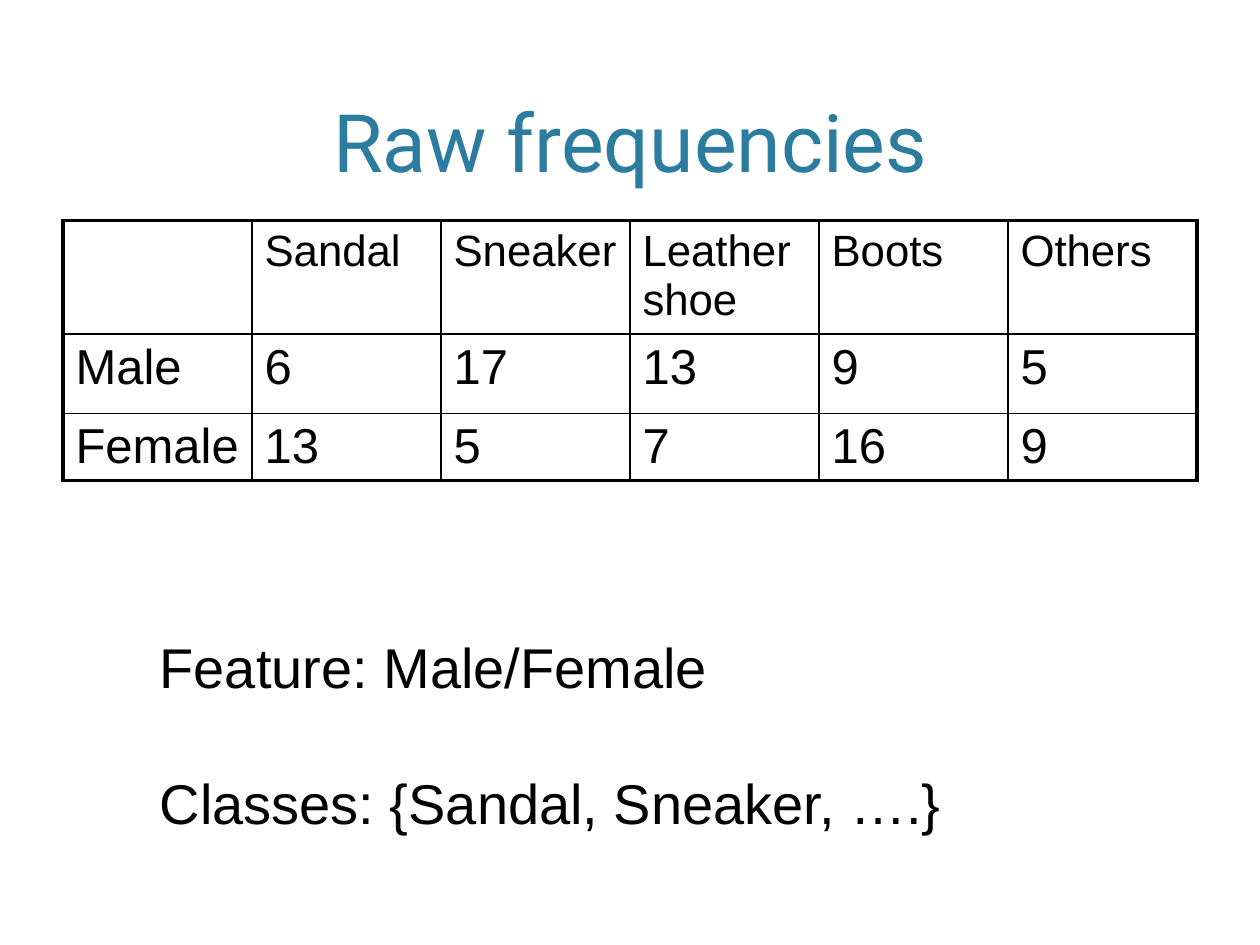
from pptx import Presentation
from pptx import util as u
from pptx.dml.color import RGBColor
from pptx.enum import text
from pptx.oxml import ns
from lxml import etree

BLACK = RGBColor(0x00, 0x00, 0x00)
TEAL = RGBColor(0x2C, 0x7C, 0x9F)
THIN, THICK = 1, 2.25
FREQUENCIES = [
    ["", "Sandal", "Sneaker", "Leather shoe", "Boots", "Others"],
    ["Male", "6", "17", "13", "9", "5"],
    ["Female", "13", "5", "7", "16", "9"],
]
ROW_HEIGHTS = [64.8, 45.4, 38.4]
ROW_SIZES = [25, 28, 28]
COLUMN_WIDTH = 108
NOTES = ["Feature: Male/Female", "Classes: {Sandal, Sneaker, \u2026.}"]


def apply(target, values):
    """Set each named attribute of the target."""
    for name, value in values.items():
        setattr(target, name, value)


def style_font(paragraph, size, color=BLACK, face="Arial"):
    """Give a paragraph its font, size and colour."""
    apply(paragraph.font, {"name": face, "size": u.Pt(size), "bold": False})
    paragraph.font.color.rgb = color


def add_title(slide, wording):
    """Place and format the title placeholder."""
    title = slide.shapes.title
    apply(title, {"left": u.Pt(36), "top": u.Pt(21.6),
                  "width": u.Pt(648), "height": u.Pt(90)})
    frame = title.text_frame
    apply(frame, {"text": wording, "word_wrap": True,
                  "vertical_anchor": text.MSO_ANCHOR.BOTTOM,
                  "auto_size": text.MSO_AUTO_SIZE.NONE})
    heading = frame.paragraphs[0]
    heading.alignment = text.PP_ALIGN.CENTER
    style_font(heading, 46, TEAL, "Roboto")


def add_borders(cell, widths):
    """Draw the cell's sides in black with the given widths."""
    properties = cell._tc.get_or_add_tcPr()
    for position, (side, width) in enumerate(widths.items()):
        line = etree.Element(ns.qn("a:ln" + side), w=str(u.Pt(width)))
        fill = etree.SubElement(line, ns.qn("a:solidFill"))
        etree.SubElement(fill, ns.qn("a:srgbClr"), val=str(BLACK))
        properties.insert(position, line)


def add_frequency_table(slide):
    """Build the table with a thick outer frame and thin inner lines."""
    last_row, last_column = len(FREQUENCIES) - 1, len(FREQUENCIES[0]) - 1
    table = slide.shapes.add_table(
        last_row + 1, last_column + 1, u.Pt(36), u.Pt(126),
        u.Pt(COLUMN_WIDTH * (last_column + 1)), u.Pt(sum(ROW_HEIGHTS))).table
    apply(table, {"first_row": False, "horz_banding": False})
    for column in table.columns:
        column.width = u.Pt(COLUMN_WIDTH)
    for r, entries in enumerate(FREQUENCIES):
        table.rows[r].height = u.Pt(ROW_HEIGHTS[r])
        for c, entry in enumerate(entries):
            cell = table.cell(r, c)
            cell.text = entry
            cell.fill.background()
            style_font(cell.text_frame.paragraphs[0], ROW_SIZES[r])
            add_borders(cell, {"L": THICK if c == 0 else THIN,
                               "R": THICK if c == last_column else THIN,
                               "T": THICK if r == 0 else THIN,
                               "B": THICK if r == last_row else THIN})


def add_notes(slide):
    """Write the feature and class lines below the table."""
    frame = slide.shapes.add_textbox(
        u.Pt(84.2), u.Pt(354.2), u.Pt(465.1), u.Pt(123.8)).text_frame
    apply(frame, {"text": "\n".join(NOTES), "word_wrap": False,
                  "margin_top": u.Pt(7),
                  "auto_size": text.MSO_AUTO_SIZE.SHAPE_TO_FIT_TEXT})
    for paragraph in frame.paragraphs:
        style_font(paragraph, 32)
    frame.paragraphs[-1].space_before = u.Pt(39.8)


def main():
    """Build and save the slide."""
    deck = Presentation()
    apply(deck, {"slide_width": u.Pt(720), "slide_height": u.Pt(540)})
    slide = deck.slides.add_slide(deck.slide_layouts[5])
    add_title(slide, "Raw frequencies")
    add_frequency_table(slide)
    add_notes(slide)
    deck.save("out.pptx")


main()
